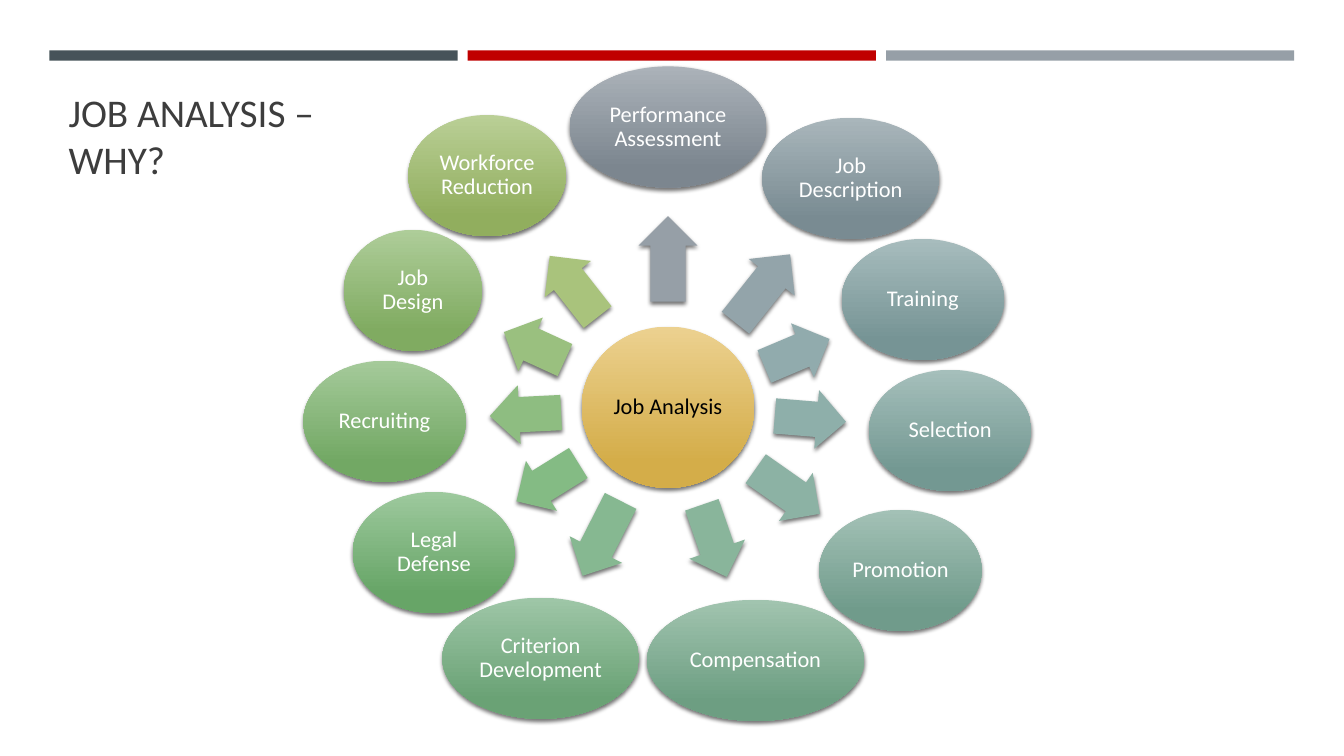
from dataclasses import dataclass
from math import atan2, cos, degrees, sin

from lxml.etree import SubElement
from pptx import Presentation
from pptx.dml.color import RGBColor
from pptx.enum.shapes import MSO_SHAPE as Shape
from pptx.enum.text import MSO_ANCHOR as Anchor, MSO_AUTO_SIZE as AutoSize, PP_ALIGN as Align
from pptx.oxml.ns import qn
from pptx.util import Pt


@dataclass(frozen=True)
class Theme:
    """Colours and type sizes of the slide."""
    font: str = "Calibri"
    title_size: int = 28
    label_size: int = 16
    title: str = "3D3D3D"
    hub_text: str = "000000"
    purpose_text: str = "FFFFFF"
    shadow: str = "000000"
    bars: tuple = ("465359", "C00000", "969FA7")
    hub: tuple = ("E7C674", "D4AD49")


THEME = Theme()
PURPOSE_HEIGHT, ARROW_HEIGHT = 86.5, 42

# label, centre offset from the hub, width, arrow distance and length, base and dark colour
PURPOSES = [
    ("Performance Assessment", 0, -200.2, 140.5, 106, 61, "969FA7", "7C868F"),
    ("Job Description", 130.5, -163.5, 126.5, 108.5, 62.5, "93A4AA", "798B92"),
    ("Training", 182, -77, 116, 100, 50.5, "91ABAD", "769495"),
    ("Selection", 201.5, 16.5, 116, 102, 51, "8EAFAA", "739892"),
    ("Promotion", 166, 116.5, 116, 104.5, 56, "8CB2A4", "709B8B"),
    ("Compensation", 62.5, 180.8, 155, 101, 54.5, "89B59B", "6D9E82"),
    ("Criterion Development", -91, 179.3, 140.5, 105, 60, "86B891", "6AA275"),
    ("Legal Defense", -167.2, 103.7, 116, 101.5, 52, "84BB84", "67A567"),
    ("Recruiting", -202.5, 10, 116, 102, 51, "8EBD81", "72A864"),
    ("Job Design", -182.3, -83.5, 98.5, 105, 48, "9AC07F", "80AB61"),
    ("Workforce Reduction", -129.3, -165.5, 112.5, 109.5, 55.5, "A9C37C", "91AE5E"),
]


def rgb(code):
    """Turn a hex code into a colour."""
    return RGBColor.from_string(code)


def lighten(code):
    """Mix a colour with 20 percent white."""
    return RGBColor(*(round(part * 0.8 + 51) for part in rgb(code)))


def style_text(frame, size, colour, align):
    """Format every run of a text frame."""
    for paragraph in frame.paragraphs:
        paragraph.alignment = align
        for run in paragraph.runs:
            run.font.name, run.font.size = THEME.font, Pt(size)
            run.font.color.rgb = rgb(colour)


def add_plain(slide, kind, left, top, width, height):
    """Add a shape without outline or shadow."""
    shape = slide.shapes.add_shape(kind, Pt(left), Pt(top), Pt(width), Pt(height))
    shape.line.fill.background()
    shape.shadow.inherit = False
    return shape


def add_centred(slide, kind, centre, width, height):
    """Add a shape around its centre, with a soft shadow below it."""
    x, y = centre
    shape = add_plain(slide, kind, x - width / 2, y - height / 2, width, height)
    effects = shape.element.spPr.find(qn("a:effectLst"))
    shadow = SubElement(effects, qn("a:outerShdw"), blurRad=str(Pt(3)), dist=str(Pt(2)),
                        dir="5400000", algn="ctr", rotWithShape="0")
    colour = SubElement(shadow, qn("a:srgbClr"), val=THEME.shadow)
    SubElement(colour, qn("a:alpha"), val="55000")
    return shape


def add_bubble(slide, label, centre, size, colours, text_colour):
    """Add a labelled ellipse shaded from light to dark."""
    base, dark = colours
    bubble = add_centred(slide, Shape.OVAL, centre, *size)
    bubble.fill.gradient()
    bubble.fill.gradient_angle = 270
    light_stop, dark_stop = bubble.fill.gradient_stops
    light_stop.color.rgb, light_stop.position = lighten(base), 0
    dark_stop.color.rgb, dark_stop.position = rgb(dark), 0.84
    frame = bubble.text_frame
    frame.margin_left = frame.margin_right = frame.margin_top = frame.margin_bottom = Pt(1.5)
    frame.word_wrap, frame.vertical_anchor = True, Anchor.MIDDLE
    frame.text = label
    frame.paragraphs[0].line_spacing = 0.9
    style_text(frame, THEME.label_size, text_colour, Align.CENTER)


def add_arrow(slide, hub, angle, distance, length, colour):
    """Add an arrow that points away from the hub."""
    centre = hub[0] + distance * cos(angle), hub[1] + distance * sin(angle)
    arrow = add_centred(slide, Shape.RIGHT_ARROW, centre, length, ARROW_HEIGHT)
    arrow.adjustments[0], arrow.adjustments[1] = 0.6, 0.5
    arrow.rotation = degrees(angle) % 360
    arrow.fill.solid()
    arrow.fill.fore_color.rgb = rgb(colour)


def build_bars(slide, left, top, width, height, gap=7.2):
    """Divide the box into equal coloured bars."""
    bar_width = (width + gap) / len(THEME.bars) - gap
    for index, colour in enumerate(THEME.bars):
        bar = add_plain(slide, Shape.RECTANGLE, left + index * (bar_width + gap), top,
                        bar_width, height)
        bar.fill.solid()
        bar.fill.fore_color.rgb = rgb(colour)


def build_title(slide, left, top, width, height):
    """Place the title in its box."""
    title = slide.shapes.title
    title.left, title.top, title.width, title.height = map(Pt, (left, top, width, height))
    frame = title.text_frame
    frame.text = "JOB ANALYSIS – WHY?"
    frame.word_wrap, frame.auto_size = True, AutoSize.NONE
    frame.vertical_anchor = Anchor.BOTTOM
    style_text(frame, THEME.title_size, THEME.title, Align.LEFT)


def build_wheel(slide, left, top, width, height):
    """Place the hub in its box and the purposes with their arrows around it."""
    hub = left + width / 2, top + height / 2
    add_bubble(slide, "Job Analysis", hub, (width, height), THEME.hub, THEME.hub_text)
    for label, dx, dy, purpose_width, distance, length, base, dark in PURPOSES:
        add_arrow(slide, hub, atan2(dy, dx), distance, length, base)
        add_bubble(slide, label, (hub[0] + dx, hub[1] + dy), (purpose_width, PURPOSE_HEIGHT),
                   (base, dark), THEME.purpose_text)


def main():
    """Build the slide and save it."""
    deck = Presentation()
    deck.slide_width, deck.slide_height = Pt(960), Pt(540)
    slide = deck.slides.add_slide(deck.slide_layouts[5])
    build_bars(slide, 35.3, 36, 889.2, 7.4)
    build_title(slide, 41.8, 54, 221.8, 80)
    build_wheel(slide, 415.6, 233.3, 123.2, 115.2)
    deck.save("out.pptx")


main()
